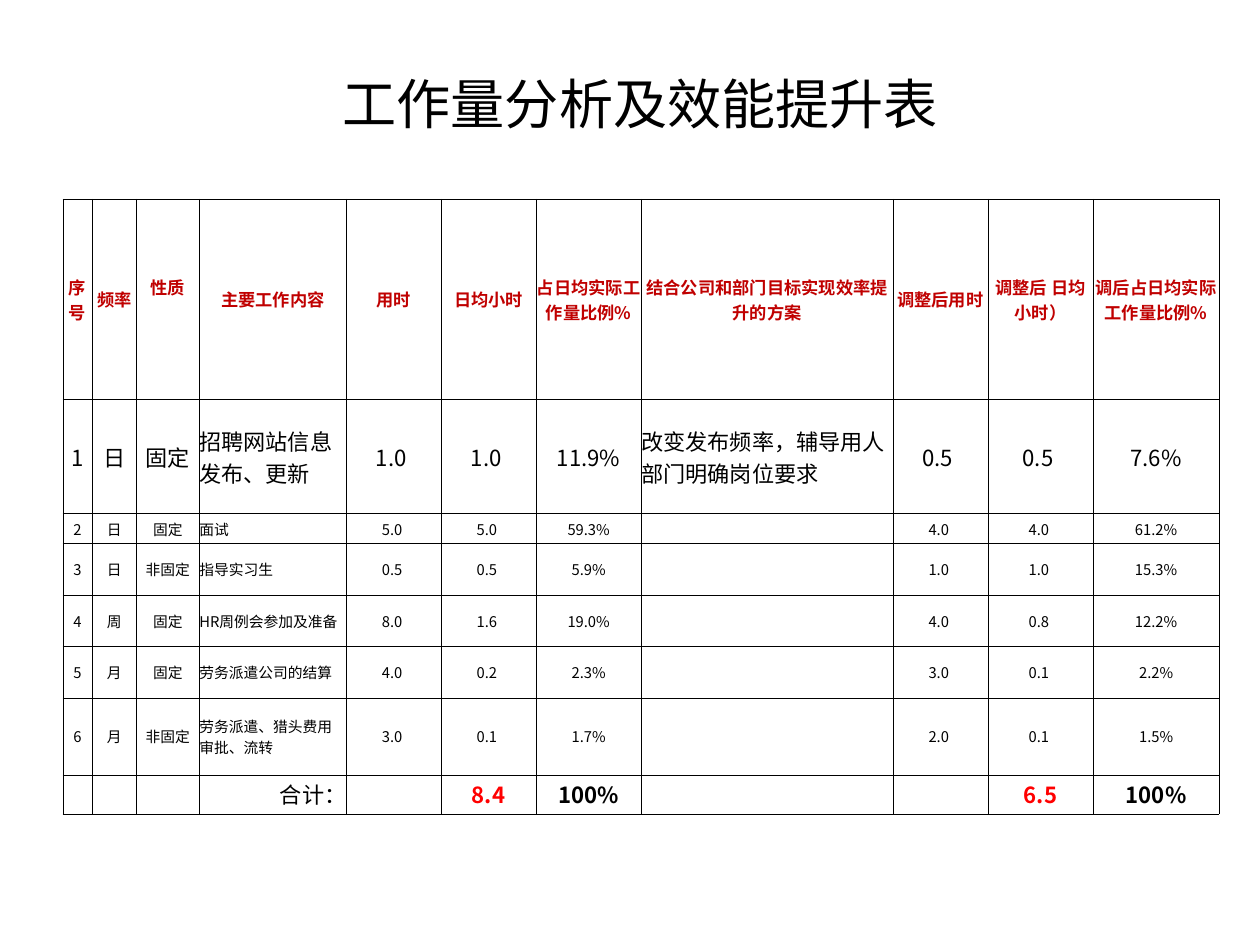
from lxml import etree
from pptx import Presentation
from pptx.dml.color import RGBColor
from pptx.enum.text import MSO_ANCHOR, PP_ALIGN
from pptx.oxml import parse_xml
from pptx.oxml.ns import qn
from pptx.util import Inches, Pt

LEFT, CENTER, RIGHT = PP_ALIGN.LEFT, PP_ALIGN.CENTER, PP_ALIGN.RIGHT
MIDDLE = MSO_ANCHOR.MIDDLE
FONT = "Noto Sans CJK SC"
BLACK, DARK_RED, RED = "000000", "C00000", "FF0000"
DRAWING = "http://schemas.openxmlformats.org/drawingml/2006/main"

COLUMN_WIDTHS = [0.33, 0.5, 0.71, 1.66, 1.07, 1.07, 1.19, 2.84, 1.07, 1.19, 1.42]
ROW_HEIGHTS = [2.26, 1.29, 0.34, 0.58, 0.58, 0.58, 0.87, 0.44]
HEADERS = ["序号", "频率", "性质", "主要工作内容", "用时", "日均小时", "占日均实际工作量比例%",
           "结合公司和部门目标实现效率提升的方案", "调整后用时", "调整后 日均小时）",
           "调后占日均实际工作量比例%"]
TASKS = [
    ["1", "日", "固定", "招聘网站信息发布、更新", "1.0 ", "1.0 ", "11.9%",
     "改变发布频率，辅导用人部门明确岗位要求", "0.5 ", "0.5 ", "7.6%"],
    ["2", "日", "固定", "面试", "5.0 ", "5.0 ", "59.3%", "", "4.0 ", "4.0 ", "61.2%"],
    ["3", "日", "非固定", "指导实习生", "0.5 ", "0.5 ", "5.9%", "", "1.0 ", "1.0 ", "15.3%"],
    ["4", "周", "固定", "HR周例会参加及准备", "8.0 ", "1.6 ", "19.0%", "", "4.0 ", "0.8 ", "12.2%"],
    ["5", "月", "固定", "劳务派遣公司的结算", "4.0 ", "0.2 ", "2.3%", "", "3.0 ", "0.1 ", "2.2%"],
    ["6", "月", "非固定", "劳务派遣、猎头费用审批、流转", "3.0 ", "0.1 ", "1.7%", "", "2.0 ", "0.1 ", "1.5%"],
]
TOTALS = ["", "", "", "合计：", "", "8.4", "100%", "", "", "6.5", "100%"]
TEXT_COLUMNS = (3, 7)
HOUR_COLUMNS = (5, 9)
NATURE_COLUMN = 2


def color(value):
    return RGBColor.from_string(value)


def write_text(frame, text, size=12, fill=BLACK, bold=False, align=CENTER):
    paragraph = frame.paragraphs[0]
    paragraph.alignment = align
    if not text:
        paragraph._p.get_or_add_endParaRPr().set("sz", str(size * 100))
        return
    run = paragraph.add_run()
    run.text = text
    run.font.name = FONT
    run.font.size = Pt(size)
    run.font.bold = bold
    run.font.color.rgb = color(fill)
    etree.SubElement(run.font._element, qn("a:ea")).set("typeface", FONT)


def cell_format(row, column):
    if row == 0:
        return {"size": 14, "fill": DARK_RED, "bold": True}
    if row == len(ROW_HEIGHTS) - 1:
        if column in TEXT_COLUMNS:
            return {"size": 18, "align": RIGHT}
        return {"size": 18, "bold": True, "fill": RED if column in HOUR_COLUMNS else BLACK}
    return {"size": 18 if row == 1 else 12,
            "align": LEFT if column in TEXT_COLUMNS else CENTER}


class WorkloadSlide:
    def __init__(self, presentation):
        self.slide = presentation.slides.add_slide(presentation.slide_layouts[6])
        self.border = BLACK
        self.border_width = Pt(0.5)

    def add_title(self, text, left, top, width, height):
        shape = self.slide.shapes.add_textbox(Inches(left), Inches(top), Inches(width), Inches(height))
        frame = shape.text_frame
        frame.word_wrap = True
        frame.vertical_anchor = MIDDLE
        write_text(frame, text, size=44)

    def add_borders(self, cell):
        properties = cell._tc.get_or_add_tcPr()
        for side in ("lnL", "lnR", "lnT", "lnB"):
            properties.append(parse_xml(
                f'<a:{side} xmlns:a="{DRAWING}" w="{self.border_width}"><a:solidFill>'
                f'<a:srgbClr val="{self.border}"/></a:solidFill></a:{side}>'))

    def add_table(self, rows, left, top):
        shape = self.slide.shapes.add_table(
            len(rows), len(COLUMN_WIDTHS), Inches(left), Inches(top),
            Inches(sum(COLUMN_WIDTHS)), Inches(sum(ROW_HEIGHTS)))
        table = shape.table
        table.first_row = False
        table.horz_banding = False
        for column, width in zip(table.columns, COLUMN_WIDTHS):
            column.width = Inches(width)
        for row, height in zip(table.rows, ROW_HEIGHTS):
            row.height = Inches(height)
        for row_index, texts in enumerate(rows):
            for column_index, text in enumerate(texts):
                cell = table.cell(row_index, column_index)
                cell.margin_left = cell.margin_right = cell.margin_top = cell.margin_bottom = 0
                cell.vertical_anchor = MIDDLE
                self.add_borders(cell)
                cell.fill.background()
                write_text(cell.text_frame, text, **cell_format(row_index, column_index))
        table.cell(0, NATURE_COLUMN).margin_bottom = Inches(0.28)


def main():
    presentation = Presentation()
    presentation.slide_width = Inches(14.22)
    presentation.slide_height = Inches(10.67)
    workload = WorkloadSlide(presentation)
    workload.add_table([HEADERS, *TASKS, TOTALS], 0.71, 2.25)
    workload.add_title("工作量分析及效能提升表", 0.83, 0.27, 12.8, 1.78)
    presentation.save("out.pptx")


if __name__ == "__main__":
    main()
